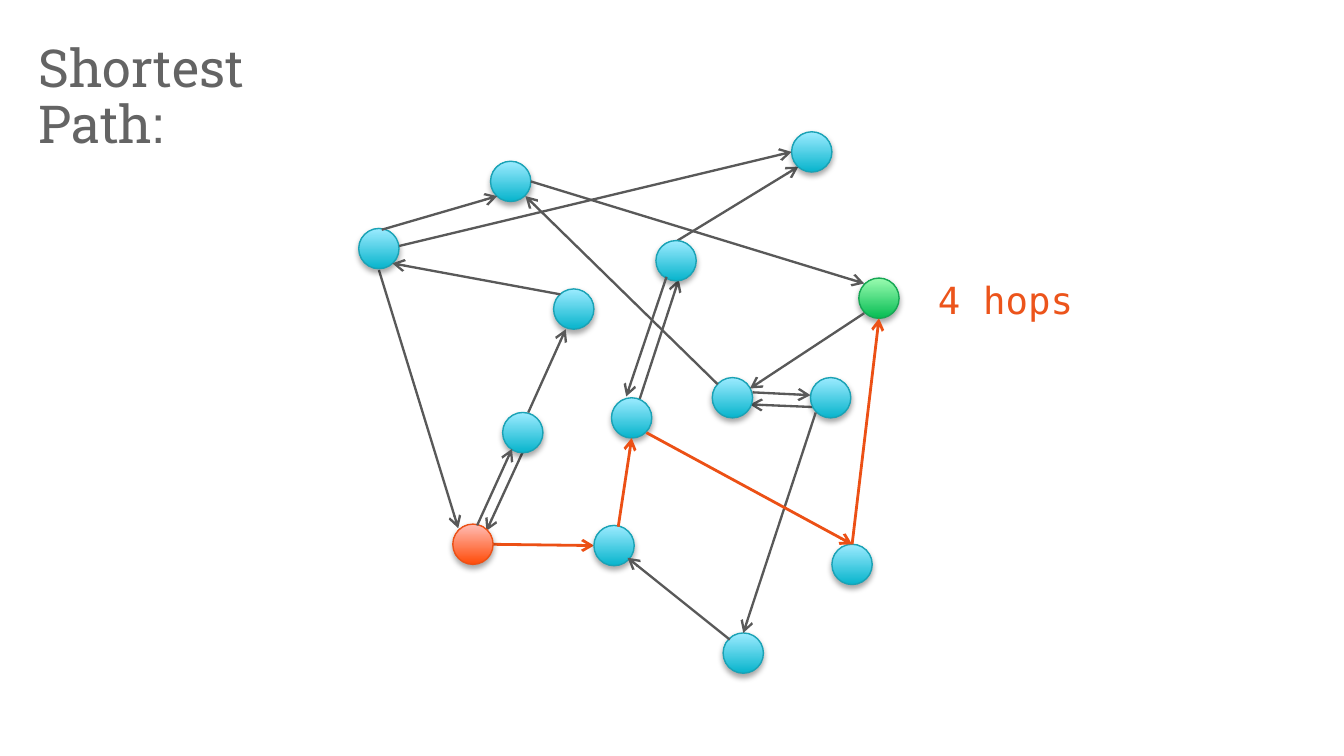
import pptx
import pptx.util
import pptx.oxml
import pptx.oxml.ns
import pptx.dml.color
import pptx.enum.shapes
import pptx.enum.text

Pt = pptx.util.Pt
COLORS = {
    "title": "646464", "edge": "595959", "route": "EC5015", "hops": "EC541B",
    "blue_low": "07B4CC", "blue_high": "9CEBFF", "blue_line": "1AA2B5",
    "green_low": "05BC53", "green_high": "9AFCB0", "green_line": "16A754",
    "red_low": "FF4B08", "red_high": "FFBCB4", "red_line": "EC5015",
}
NODE_SIZE = 21.6
NODES = [
    (77.3, 151, "blue"), (104.6, 84.8, "blue"), (135.6, 143.1, "blue"),
    (242.2, 132.3, "blue"), (232.1, 0.6, "blue"), (126.2, 211.5, "blue"),
    (268.1, 79, "green"), (195.4, 269.1, "blue"), (189.6, 132.3, "blue"),
    (0.2, 52.4, "blue"), (70.8, 16.4, "blue"), (159.4, 58.9, "blue"),
    (50.6, 210.8, "red"), (253.7, 221.6, "blue"),
]
BACK_ARROWS = [
    (170.9, 58.9, 235.7, 19.3, "edge"),
    (246.5, 148.2, 209.8, 146.7, "edge"),
    (150.7, 143.8, 171.6, 79.8, "edge"),
    (88.8, 170.5, 68.6, 214.4, "edge"),
    (11, 74.7, 53.5, 213, "edge"),
    (72.2, 221.6, 126.2, 222.3, "route"),
]
FRONT_ARROWS = [
    (63.6, 211.5, 82.3, 170.5, "edge"),
    (91, 151, 111.1, 106.4, "edge"),
    (165.1, 78.3, 143.5, 142.4, "edge"),
    (192.5, 135.9, 89.5, 35.1, "edge"),
    (199, 272.7, 144.2, 228.8, "edge"),
    (245, 151, 206.2, 269.1, "edge"),
    (154.3, 161.8, 264.5, 221.6, "route"),
    (21.8, 61.8, 232.1, 11.4, "edge"),
    (271, 97.8, 209.8, 138.1, "edge"),
    (92.4, 27.2, 271, 81.9, "edge"),
    (211.2, 140.2, 242.2, 141.7, "edge"),
    (108.2, 87.7, 18.2, 71.1, "edge"),
    (12.5, 53.1, 74.4, 35.1, "edge"),
    (139.2, 212.2, 146.4, 164.7, "route"),
    (264.5, 221.6, 278.9, 100.6, "route"),
]


def color(name):
    return pptx.dml.color.RGBColor.from_string(COLORS[name])


def add_xml(parent, xml):
    namespace = pptx.oxml.ns.nsdecls("a")
    parent.append(pptx.oxml.parse_xml(xml.replace(">", f" {namespace}>", 1)))


def add_label(page, box, text, font, size, shade, spacing=1.0, top=3.6, right=7.2):
    label = page.shapes.add_textbox(*[Pt(value) for value in box])
    frame = label.text_frame
    frame.word_wrap = True
    frame.margin_top = Pt(top)
    frame.margin_right = Pt(right)
    frame.vertical_anchor = pptx.enum.text.MSO_ANCHOR.TOP
    para = frame.paragraphs[0]
    para.text = text
    para.line_spacing = spacing
    para.font.name = font
    para.font.size = Pt(size)
    para.font.color.rgb = color(shade)


def add_arrow(page, left, top, arrow):
    x1, y1, x2, y2, shade = arrow
    line = page.shapes.add_connector(
        pptx.enum.shapes.MSO_CONNECTOR.STRAIGHT,
        Pt(left + x1), Pt(top + y1), Pt(left + x2), Pt(top + y2))
    line.line.color.rgb = color(shade)
    line.line.width = Pt(1.5 if shade == "route" else 1.25)
    add_xml(line.line._get_or_add_ln(), '<a:tailEnd type="arrow"></a:tailEnd>')
    add_xml(line._element.spPr, "<a:effectLst></a:effectLst>")


def add_node(page, left, top, node):
    x, y, hue = node
    circle = page.shapes.add_shape(
        pptx.enum.shapes.MSO_SHAPE.OVAL,
        Pt(left + x), Pt(top + y), Pt(NODE_SIZE), Pt(NODE_SIZE))
    circle.fill.gradient()
    circle.fill.gradient_angle = 90
    for stop, level in zip(circle.fill.gradient_stops, ("low", "high")):
        stop.color.rgb = color(f"{hue}_{level}")
    circle.line.color.rgb = color(f"{hue}_line")
    circle.line.width = Pt(0.75)
    add_xml(circle._element.spPr, (
        "<a:effectLst>"
        f'<a:outerShdw blurRad="{Pt(3.1)}" dist="{Pt(1.8)}" dir="5400000" rotWithShape="0">'
        '<a:srgbClr val="000000"><a:alpha val="35000"/></a:srgbClr>'
        "</a:outerShdw></a:effectLst>"))


def add_graph(page, left, top):
    for arrow in BACK_ARROWS:
        add_arrow(page, left, top, arrow)
    for node in NODES:
        add_node(page, left, top, node)
    for arrow in FRONT_ARROWS:
        add_arrow(page, left, top, arrow)


deck = pptx.Presentation()
deck.slide_width = Pt(720)
deck.slide_height = Pt(405)
page = deck.slides.add_slide(deck.slide_layouts[6])
add_label(page, (13.7, 16.6, 197.3, 38.2), "Shortest Path:", "Roboto Slab", 28,
          "title", spacing=0.9, top=6, right=12)
add_graph(page, 192, 70)
add_label(page, (495.4, 144.7, 92.9, 31.7), "4 hops", "DejaVu Sans Mono", 20, "hops")
deck.save("out.pptx")
